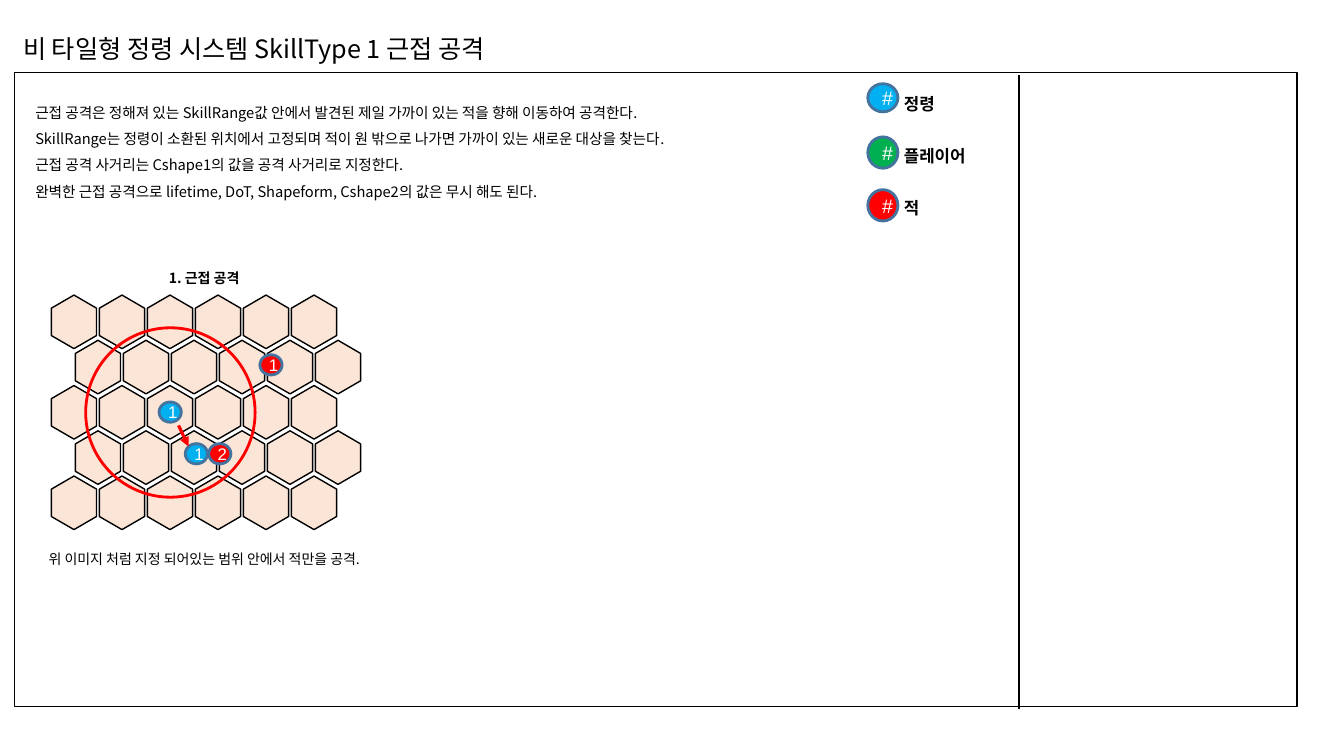
from dataclasses import dataclass

from pptx import Presentation
from pptx.dml import color
from pptx.enum import shapes, text
from pptx.oxml import ns
from pptx import util as u
from lxml import etree

COLORS = {
    "black": "000000", "white": "FFFFFF", "tile": "FBE5D6", "red": "FF0000",
    "spirit": "00B0F0", "player": "00B050", "enemy": "FF0000", "rim": "43739E",
}
KOREAN, LATIN = "Noto Sans CJK KR", "Arial"
ROWS, COLUMNS = 5, 6
TILE_LEFT, TILE_TOP, TILE_LENGTH, TILE_WIDTH = 1.19, 7.54, 1.35, 1.14
COLUMN_STEP, ROW_STEP = 1.21, 1.14
LABEL_TOP, LABEL_STEP = 1.98, 1.31


@dataclass(frozen=True)
class Token:
    """A numbered disc; lengths in centimetres."""
    label: str
    color: str
    left: float
    top: float
    width: float = 0.56
    height: float = 0.51
    size: float = 12
    caption: str = ""


LEGEND = [
    Token("#", "spirit", 21.87, 2.11, 0.76, 0.71, 14, "정령"),
    Token("#", "player", 21.87, 3.45, 0.76, 0.79, 14, "플레이어"),
    Token("#", "enemy", 21.87, 4.78, 0.76, 0.79, 14, "적"),
]
UNITS = [
    Token("1", "spirit", 4.01, 10.13),
    Token("2", "enemy", 5.26, 11.18),
    Token("1", "enemy", 6.55, 8.94),
    Token("1", "spirit", 4.67, 11.18),
]
RULES = [
    "근접 공격은 정해져 있는 SkillRange값 안에서 발견된 제일 가까이 있는 적을 향해 이동하여 공격한다.",
    "SkillRange는 정령이 소환된 위치에서 고정되며 적이 원 밖으로 나가면 가까이 있는 새로운 대상을 찾는다.",
    "근접 공격 사거리는 Cshape1의 값을 공격 사거리로 지정한다.",
    "완벽한 근접 공격으로 lifetime, DoT, Shapeform, Cshape2의 값은 무시 해도 된다.",
]


def rgb(name: str) -> color.RGBColor:
    """Look up a named colour."""
    return color.RGBColor.from_string(COLORS[name])


def write(shape, lines: list[str], *, size: float, font: str = KOREAN,
          ink: str = "black", bold: bool = False, spacing: float = 1.0,
          align=text.PP_ALIGN.LEFT, anchor=text.MSO_ANCHOR.TOP) -> None:
    """Fill a shape with formatted paragraphs."""
    frame = shape.text_frame
    frame.word_wrap = True
    frame.auto_size = text.MSO_AUTO_SIZE.NONE
    frame.vertical_anchor = anchor
    frame.text = "\n".join(lines)
    for paragraph in frame.paragraphs:
        paragraph.alignment = align
        paragraph.line_spacing = spacing
        for run in paragraph.runs:
            run.font.name = font
            run.font.size = u.Pt(size)
            run.font.bold = bold
            run.font.color.rgb = rgb(ink)
            east_asian = etree.SubElement(run.font._element, ns.qn("a:ea"))
            east_asian.set("typeface", KOREAN)


def add_text(slide, left: float, top: float, width: float, height: float,
             lines: list[str], **style) -> None:
    """Add a formatted text box."""
    box = slide.shapes.add_textbox(u.Cm(left), u.Cm(top), u.Cm(width), u.Cm(height))
    write(box, lines, **style)


def add_shape(slide, kind, left: float, top: float, width: float, height: float,
              *, fill: str = "", line: str = "black", weight: float = 1):
    """Add a preset shape, unfilled unless a fill is named."""
    shape = slide.shapes.add_shape(kind, u.Cm(left), u.Cm(top), u.Cm(width), u.Cm(height))
    shape.shadow.inherit = False
    if fill:
        shape.fill.solid()
        shape.fill.fore_color.rgb = rgb(fill)
    else:
        shape.fill.background()
    shape.line.color.rgb = rgb(line)
    shape.line.width = u.Pt(weight)
    return shape


def add_line(slide, start: tuple[float, float], end: tuple[float, float], *,
             ink: str, weight: float, arrow: bool = False) -> None:
    """Add a straight line, with an arrowhead at its end on request."""
    line = slide.shapes.add_connector(
        shapes.MSO_CONNECTOR.STRAIGHT, *map(u.Cm, start), *map(u.Cm, end))
    line.line.color.rgb = rgb(ink)
    line.line.width = u.Pt(weight)
    if arrow:
        head = etree.SubElement(line.line._get_or_add_ln(), ns.qn("a:tailEnd"))
        head.set("type", "triangle")
    etree.SubElement(line._element.spPr, ns.qn("a:effectLst"))


def add_token(slide, token: Token) -> None:
    """Draw a disc with its label."""
    disc = add_shape(slide, shapes.MSO_SHAPE.OVAL, token.left, token.top, token.width,
                     token.height, fill=token.color, line="rim", weight=2)
    write(disc, [token.label], size=token.size, font=LATIN, ink="white",
          align=text.PP_ALIGN.CENTER, anchor=text.MSO_ANCHOR.MIDDLE)


def add_legend(slide) -> None:
    """Draw the key of token colours."""
    for index, token in enumerate(LEGEND):
        add_token(slide, token)
        add_text(slide, 22.53, LABEL_TOP + index * LABEL_STEP, 2.69, 0.91,
                 [token.caption], size=12, font=LATIN, bold=True, spacing=1.5)


def add_board(slide) -> None:
    """Draw the hexagon board, every second row shifted by half a tile."""
    for row in range(ROWS):
        for column in range(COLUMNS):
            left = TILE_LEFT + (column + row % 2 / 2) * COLUMN_STEP
            tile = add_shape(slide, shapes.MSO_SHAPE.HEXAGON, left,
                             TILE_TOP + row * ROW_STEP, TILE_LENGTH, TILE_WIDTH, fill="tile")
            tile.adjustments[0] = 0.29
            tile.rotation = 270


def build() -> None:
    """Build and save the slide."""
    presentation = Presentation()
    presentation.slide_width, presentation.slide_height = u.Cm(33.87), u.Cm(19.05)
    slide = presentation.slides.add_slide(presentation.slide_layouts.get_by_name("Title Only"))
    title = slide.shapes.title
    title.left, title.top, title.width, title.height = map(u.Cm, (0.33, 0.71, 15.85, 1.02))
    write(title, ["비 타일형 정령 시스템 SkillType 1 근접 공격"], size=18)

    add_shape(slide, shapes.MSO_SHAPE.RECTANGLE, 0.36, 1.83, 32.33, 15.98)
    add_line(slide, (25.68, 1.88), (25.68, 17.86), ink="black", weight=0.75)
    add_text(slide, 0.64, 2.26, 23.19, 2.95, RULES, size=10.5, spacing=1.5)
    add_legend(slide)

    add_board(slide)
    add_shape(slide, shapes.MSO_SHAPE.OVAL, 2.16, 8.26, 4.27, 4.27, line="red", weight=2)
    centred = {"size": 10, "spacing": 1.5, "align": text.PP_ALIGN.CENTER}
    add_text(slide, 0.33, 6.45, 9.63, 0.99, ["1. 근접 공격"], bold=True, **centred)
    add_text(slide, 0.33, 13.54, 9.63, 0.89,
             ["위 이미지 처럼 지정 되어있는 범위 안에서 적만을 공격."], **centred)
    for unit in UNITS:
        add_token(slide, unit)
    add_line(slide, (4.5, 10.72), (4.75, 11.25), ink="red", weight=2.25, arrow=True)
    presentation.save("out.pptx")


build()
